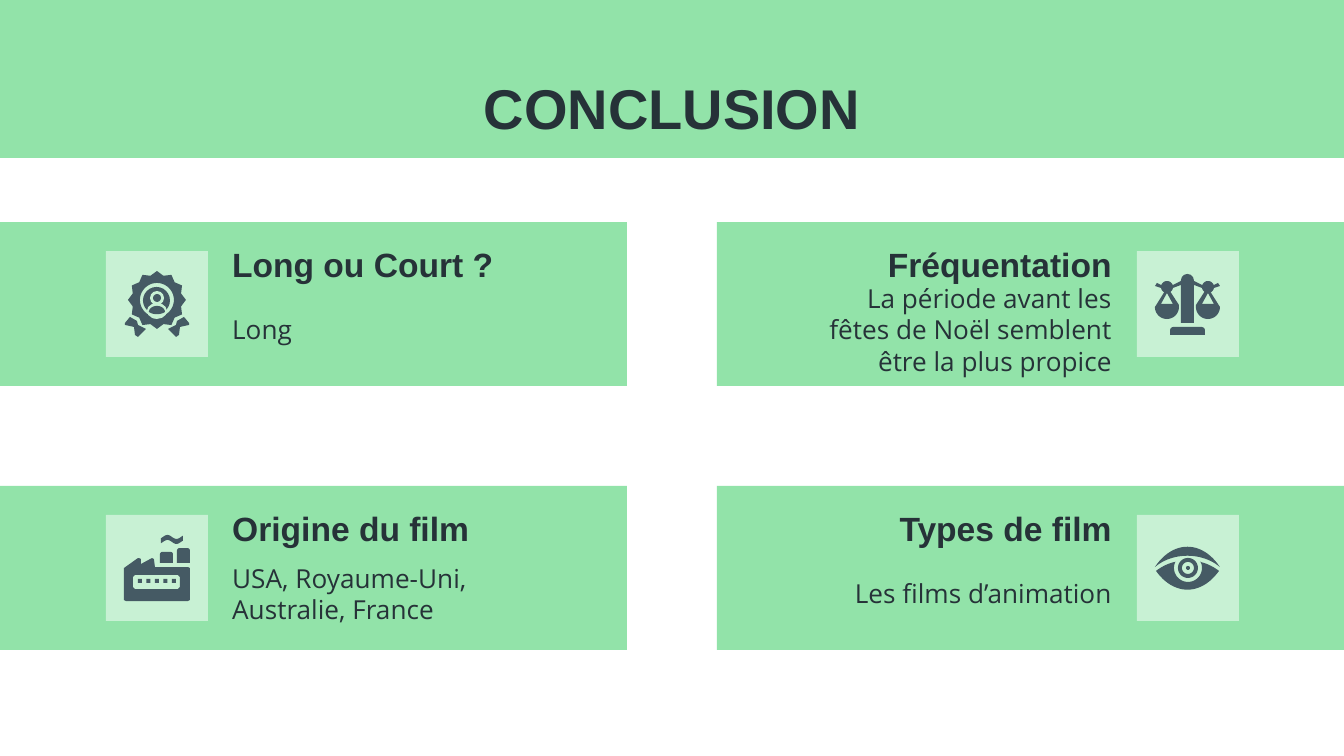
import math

from pptx import Presentation
from pptx import util as u
from pptx.dml.color import RGBColor
from pptx.enum import shapes, text

PX = 914400 / 134.4
GREEN, PALE, SLATE, INK = "92E3A9", "C8F1D4", "455A64", "263238"
RECT = shapes.MSO_SHAPE.RECTANGLE
ROUND_TOP = shapes.MSO_SHAPE.ROUND_2_SAME_RECTANGLE
OVAL = shapes.MSO_SHAPE.OVAL

# Content: heading, statement, icon; row by row, left then right
HEADING = "CONCLUSION"
CARDS = [
    ("Long ou Court ?", "Long", "medal"),
    ("Fréquentation", "La période avant les fêtes de Noël semblent être la plus propice", "scales"),
    ("Origine du film", "USA, Royaume-Uni, Australie, France", "factory"),
    ("Types de film", "Les films d’animation", "eye"),
]

# Left edges of card, tile, title and statement in each column
COLUMNS = [
    dict(card=0, tile=106, title=219, body=219, align="LEFT"),
    dict(card=717, tile=1137, title=730, body=798, align="RIGHT"),
]
ROW_TOP, ROW_STEP = 222, 264


def px(value):
    return u.Emu(round(value * PX))


deck = Presentation()
deck.slide_width, deck.slide_height = px(1344), px(756)
page = deck.slides.add_slide(deck.slide_layouts[6])


def paint(shape, color):
    shape.fill.solid()
    shape.fill.fore_color.rgb = RGBColor.from_string(color)
    shape.line.fill.background()
    shape.shadow.inherit = False


def add_block(kind, x, y, w, h, color, corner=None):
    shape = page.shapes.add_shape(kind, px(x), px(y), px(w), px(h))
    if corner is not None:
        shape.adjustments[0] = corner
    paint(shape, color)


def add_text(words, x, y, w, h, size, font="Arial", bold=False, align="LEFT"):
    box = page.shapes.add_textbox(px(x), px(y), px(w), px(h))
    frame = box.text_frame
    frame.word_wrap = True
    frame.vertical_anchor = text.MSO_ANCHOR.MIDDLE
    frame.margin_left = frame.margin_right = u.Inches(0.1)
    frame.margin_top = frame.margin_bottom = u.Inches(0.1)
    para = frame.paragraphs[0]
    para.alignment = getattr(text.PP_ALIGN, align)
    span = para.add_run()
    span.text = words
    span.font.size, span.font.name, span.font.bold = u.Pt(size), font, bold
    span.font.color.rgb = RGBColor.from_string(INK)


def add_outline(x, y, *contours):
    """Fill closed contours; a contour inside another is a hole."""
    placed = [[(px(x + a), px(y + b)) for a, b in contour] for contour in contours]
    builder = page.shapes.build_freeform(*placed[0][0], scale=1.0)
    for number, points in enumerate(placed):
        if number:
            builder.move_to(*points[0])
        builder.add_line_segments(points[1:], close=True)
    paint(builder.convert_to_shape(), SLATE)


def arc(cx, cy, rx, ry, start=0, end=360, steps=40):
    angles = [math.radians(start + (end - start) * i / steps) for i in range(steps + 1)]
    return [(cx + rx * math.cos(a), cy + ry * math.sin(a)) for a in angles]


def curve(*controls, steps=24):
    weights = (1, 3, 3, 1)
    return [tuple(sum(k * (1 - t) ** (3 - i) * t ** i * point[axis]
                      for i, (k, point) in enumerate(zip(weights, controls)))
                  for axis in (0, 1))
            for t in (n / steps for n in range(steps + 1))]


def mirror(points, width):
    return [(width - a, b) for a, b in points]


def draw_medal(x, y):
    seal = [(51 + r * math.cos(i * math.pi / 12), 49 + r * math.sin(i * math.pi / 12))
            for i in range(24) for r in [25 if i % 2 else 29]]
    add_outline(x, y, seal, arc(51, 49, 17, 17))
    # Portrait
    add_block(OVAL, x + 37, y + 36, 27, 27, SLATE)
    add_block(OVAL, x + 41, y + 52, 20, 16, PALE)
    add_block(OVAL, x + 44, y + 40, 14, 14, PALE)
    add_block(OVAL, x + 47, y + 43, 8, 8, SLATE)
    add_outline(x, y, arc(51, 61, 8, 6, 180, 360) + curve((59, 61), (55, 64), (47, 64), (43, 61)))
    # Ribbons
    ribbon = [(78, 66), (71, 70), (70, 74), (62, 78), (70, 86), (73, 84), (74, 76), (83, 74), (83, 72)]
    add_outline(x, y, ribbon)
    add_outline(x, y, mirror(ribbon, 102))


def draw_scales(x, y):
    add_block(ROUND_TOP, x + 44, y + 23, 13, 49, SLATE, 0.5)
    add_block(ROUND_TOP, x + 33, y + 76, 35, 8, SLATE, 0.4)
    arm = [(20, 32), (24, 34), (36, 34), (44, 30), (44, 34), (36, 37), (24, 37), (18, 35)]
    pan = [(28, 40), (33, 40), (42, 54)] + arc(30, 56, 12, 12, 0, 180)
    gap = [(30, 42), (36, 53), (24, 53)]
    hub = arc(30, 36, 6, 6)
    for contours in ([arm], [hub], [pan, gap]):
        add_outline(x, y, *contours)
        add_outline(x, y, *[mirror(points, 101) for points in contours])


def draw_factory(x, y):
    hall = [(32, 43), (18, 53), (18, 85), (20, 86), (82, 86), (84, 85), (84, 53), (82, 52),
            (49, 52), (48, 44), (46, 43), (35, 49), (35, 44), (33, 43)]
    band = [(29, 60), (72, 60), (74, 62), (74, 72), (72, 74), (29, 74), (27, 72), (27, 62)]
    add_outline(x, y, hall, band)
    for window in range(5):
        add_block(RECT, x + 32 + window * 17 / 2, y + 64, 4, 4, SLATE)
    add_block(ROUND_TOP, x + 71, y + 33, 13, 15, SLATE, 0.2)
    add_block(ROUND_TOP, x + 54, y + 37, 13, 11, SLATE, 0.2)
    # Smoke
    wave = [(a, 22 - 2 * math.sin((a - 57) * math.pi / 9)) for a in range(55, 78)]
    add_outline(x, y, wave + [(a, b + 5) for a, b in reversed(wave)])


def draw_eye(x, y):
    add_outline(x, y, curve((18, 52), (36, 25), (65, 25), (83, 52))
                + curve((83, 52), (65, 37), (36, 37), (18, 52)))
    add_outline(x, y, curve((19, 56), (24, 52), (32, 48), (38, 47))
                + arc(51, 53, 14, 14, 207, -27)
                + curve((63, 47), (69, 48), (77, 52), (82, 56))
                + curve((82, 56), (64, 81), (37, 81), (19, 56)))
    add_outline(x, y, arc(51, 53, 10, 10), arc(51, 53, 6, 6))
    add_block(OVAL, x + 49, y + 51, 4, 4, SLATE)


ICONS = dict(medal=draw_medal, scales=draw_scales, factory=draw_factory, eye=draw_eye)

# Banner
add_block(RECT, 0, 0, 1344, 158, GREEN)
add_text(HEADING, 106, 65, 1132, 85, 30, bold=True, align="CENTER")

# Cards
for number, (title, body, icon) in enumerate(CARDS):
    row, side = divmod(number, 2)
    column, top = COLUMNS[side], ROW_TOP + row * ROW_STEP
    add_block(RECT, column["card"], top, 627, 164, GREEN)
    add_block(RECT, column["tile"], top + 29, 102, 106, PALE)
    ICONS[icon](column["tile"], top + 29)
    add_text(title, column["title"], top + 21, 395, 42, 18, bold=True, align=column["align"])
    add_text(body, column["body"], top + 72, 327, 71, 14, font="Open Sans", align=column["align"])

deck.save("out.pptx")
